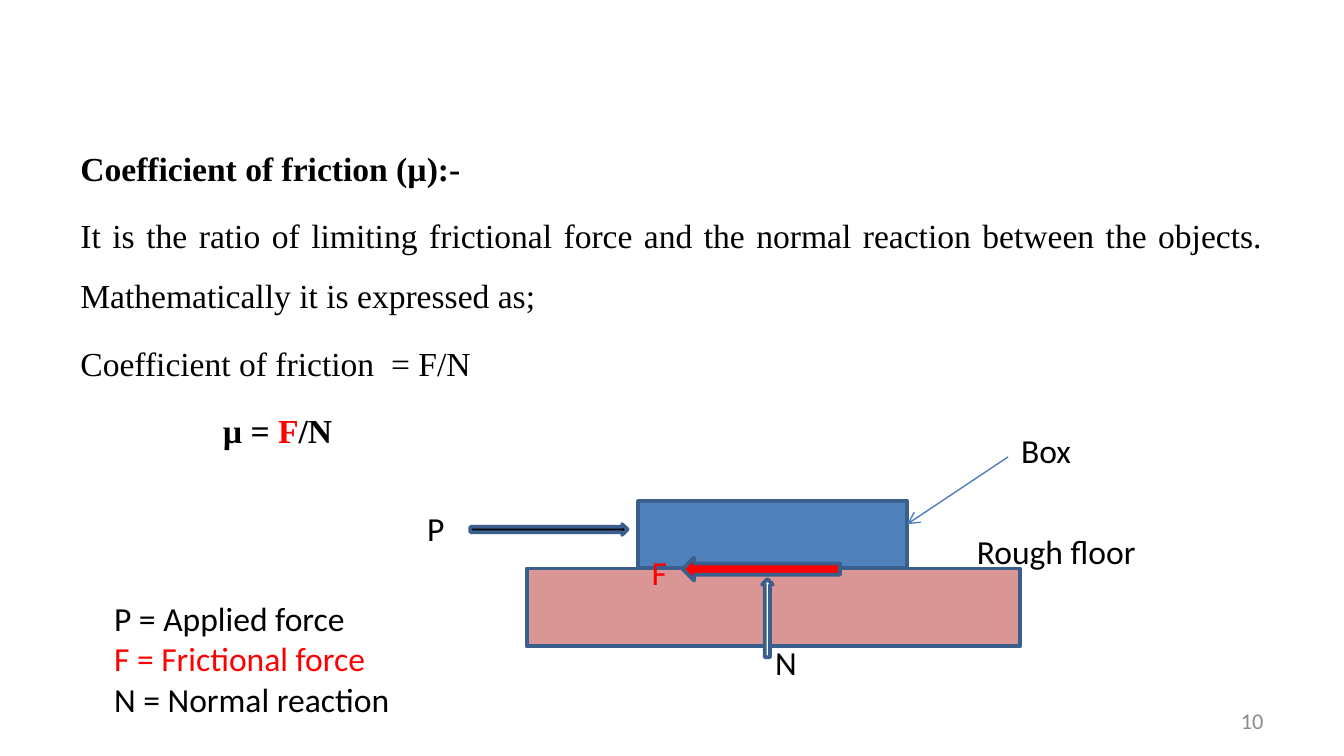
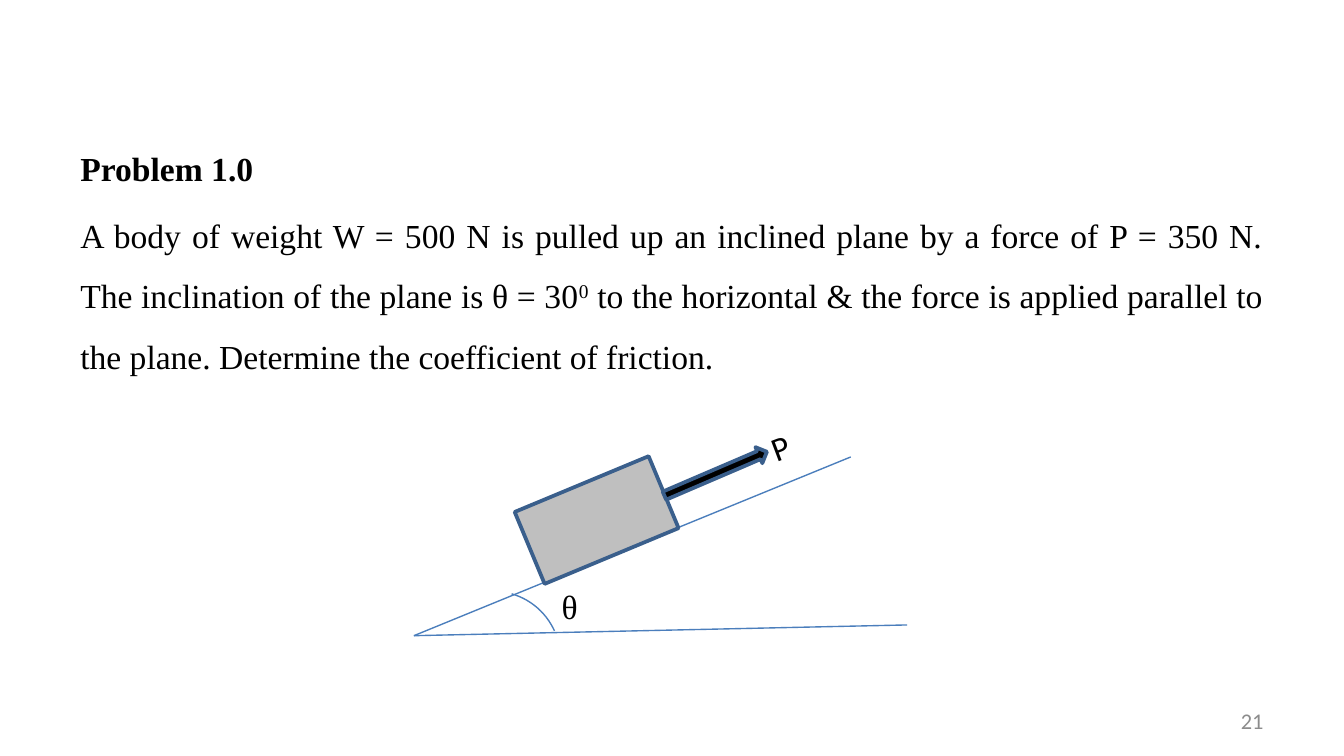
from dataclasses import dataclass
from typing import Any

from lxml import etree
from pptx import Presentation
from pptx.dml.color import RGBColor
from pptx.enum.shapes import MSO_CONNECTOR, MSO_SHAPE
from pptx.enum.text import MSO_ANCHOR, MSO_AUTO_SIZE, PP_ALIGN
from pptx.oxml.ns import qn
from pptx.util import Inches, Pt

STRAIGHT = MSO_CONNECTOR.STRAIGHT
RECTANGLE, ARC = MSO_SHAPE.RECTANGLE, MSO_SHAPE.ARC
RIGHT_ARROW, LEFT_ARROW, UP_ARROW = MSO_SHAPE.RIGHT_ARROW, MSO_SHAPE.LEFT_ARROW, MSO_SHAPE.UP_ARROW
LEFT, RIGHT, JUSTIFY = PP_ALIGN.LEFT, PP_ALIGN.RIGHT, PP_ALIGN.JUSTIFY
TOP, MIDDLE = MSO_ANCHOR.TOP, MSO_ANCHOR.MIDDLE
FIT_SHAPE, NO_FIT = MSO_AUTO_SIZE.SHAPE_TO_FIT_TEXT, MSO_AUTO_SIZE.NONE
SLIDE_WIDTH = Inches(10)
SLIDE_HEIGHT = SLIDE_WIDTH * 9 // 16


@dataclass(frozen=True)
class Theme:
    black: str = "000000"
    white: str = "FFFFFF"
    red: str = "FF0000"
    grey_text: str = "8C8C8C"
    box_blue: str = "4F81BD"
    floor_pink: str = "D99694"
    body_grey: str = "BFBFBF"
    outline: str = "3A5F8C"
    thin_line: str = "4B7EBC"
    serif: str = "Times New Roman"
    sans: str = "Calibri"
    text_size: int = 18
    number_size: int = 12
    outline_width: float = 2
    thin_width: float = 0.75


THEME = Theme()
BODY_FORMAT = {"alignment": JUSTIFY, "line_spacing": 1.5, "space_before": Pt(THEME.text_size * 0.2)}
Bounds = tuple[float, float, float, float]


@dataclass(frozen=True)
class Run:
    text: str
    color: str = THEME.black
    bold: bool = False
    superscript: bool = False


@dataclass(frozen=True)
class Line:
    runs: tuple[Run, ...]
    indent: float = 0


@dataclass(frozen=True)
class TextBlock:
    bounds: Bounds
    lines: tuple[Line, ...]
    font: str = THEME.sans
    size: int = THEME.text_size
    rotation: float = 0
    anchor: Any = TOP
    auto_size: Any = FIT_SHAPE
    format: Any = None


@dataclass(frozen=True)
class Figure:
    kind: Any
    bounds: Bounds
    fill: str
    rotation: float = 0


@dataclass(frozen=True)
class AngleArc:
    bounds: Bounds
    start: float
    end: float


@dataclass(frozen=True)
class Stroke:
    start: tuple[float, float]
    end: tuple[float, float]
    arrow: bool = False


def set_attributes(target: Any, values: dict[str, Any]) -> None:
    for name, value in values.items():
        setattr(target, name, value)


def inches(values: tuple[float, ...]) -> list[int]:
    return [Inches(value) for value in values]


def set_line(line: Any, color: str, width: float) -> None:
    line.color.rgb = RGBColor.from_string(color)
    line.width = Pt(width)


def label(text: str, bounds: Bounds, color: str = THEME.black, **options: Any) -> TextBlock:
    return TextBlock(bounds, (Line((Run(text, color),)),), **options)


def body(*lines: Line) -> TextBlock:
    return TextBlock((0.5, 0.9, 9, 4.13), lines, font=THEME.serif, auto_size=NO_FIT, format=BODY_FORMAT)


def page_number(number: int) -> TextBlock:
    return label(str(number), (7.17, 5.21, 2.33, 0.3), THEME.grey_text, size=THEME.number_size,
                 anchor=MIDDLE, auto_size=NO_FIT, format={"alignment": RIGHT})


def draw_text(slide: Any, block: TextBlock) -> None:
    shape = slide.shapes.add_textbox(*inches(block.bounds))
    shape.rotation = block.rotation
    frame = shape.text_frame
    set_attributes(frame, {"word_wrap": True, "auto_size": block.auto_size, "vertical_anchor": block.anchor})
    for index, line in enumerate(block.lines):
        paragraph = frame.add_paragraph() if index else frame.paragraphs[0]
        set_attributes(paragraph, block.format or {"alignment": LEFT})
        if line.indent:
            paragraph._p.get_or_add_pPr().set("marL", str(Inches(line.indent)))
        for item in line.runs:
            run = paragraph.add_run()
            run.text = item.text
            set_attributes(run.font, {"name": block.font, "size": Pt(block.size), "bold": item.bold})
            run.font.color.rgb = RGBColor.from_string(item.color)
            if item.superscript:
                run._r.get_or_add_rPr().set("baseline", "30000")


def draw_figure(slide: Any, figure: Figure) -> None:
    shape = slide.shapes.add_shape(figure.kind, *inches(figure.bounds))
    shape.shadow.inherit = False
    shape.rotation = figure.rotation
    shape.fill.solid()
    shape.fill.fore_color.rgb = RGBColor.from_string(figure.fill)
    set_line(shape.line, THEME.outline, THEME.outline_width)


def draw_arc(slide: Any, arc: AngleArc) -> None:
    shape = slide.shapes.add_shape(ARC, *inches(arc.bounds))
    shape.shadow.inherit = False
    shape.fill.background()
    for index, degrees in enumerate((arc.start, arc.end)):
        shape.adjustments[index] = degrees * 0.6
    set_line(shape.line, THEME.thin_line, THEME.thin_width)


def draw_stroke(slide: Any, stroke: Stroke) -> None:
    connector = slide.shapes.add_connector(STRAIGHT, *inches(stroke.start + stroke.end))
    set_line(connector.line, THEME.thin_line, THEME.thin_width)
    properties = connector._element.spPr
    if stroke.arrow:
        etree.SubElement(properties.find(qn("a:ln")), qn("a:tailEnd")).set("type", "arrow")
    etree.SubElement(properties, qn("a:effectLst"))


DRAWERS = {TextBlock: draw_text, Figure: draw_figure, AngleArc: draw_arc, Stroke: draw_stroke}

COEFFICIENT_SLIDE = (
    body(
        Line((Run("Coefficient of friction (µ):-", bold=True),)),
        Line((Run("It is the ratio of limiting frictional force and the normal reaction between the objects. "
                  "Mathematically it is expressed as;"),)),
        Line((Run("Coefficient of friction  = F/N"),)),
        Line((Run("µ = ", bold=True), Run("F", THEME.red, True), Run("/N", bold=True)), indent=1.06),
    ),
    Figure(RECTANGLE, (4.75, 3.73, 2, 0.5), THEME.box_blue),
    Stroke((7.5, 3.4), (6.75, 3.9), arrow=True),
    label("Box", (7.5, 3.15, 1, 0.4)),
    label("Rough floor", (7.17, 3.9, 2.5, 0.4)),
    label("P", (3.08, 3.73, 0.42, 0.4)),
    Figure(RIGHT_ARROW, (3.5, 3.9, 1.17, 0.08), THEME.black),
    Figure(RECTANGLE, (3.92, 4.23, 3.67, 0.58), THEME.floor_pink),
    Figure(LEFT_ARROW, (5.08, 4.15, 1.17, 0.17), THEME.red),
    label("F", (4.75, 4.06, 0.42, 0.4), THEME.red),
    Figure(UP_ARROW, (5.67, 4.31, 0.08, 0.58), THEME.white),
    label("N", (5.67, 4.73, 1, 0.4)),
    TextBlock((0.75, 4.4, 2.58, 1.01), (
        Line((Run("P = Applied force"),)),
        Line((Run("F = Frictional force", THEME.red),)),
        Line((Run("N = Normal reaction"),)),
    )),
    page_number(10),
)

INCLINE_APEX = (3.08, 4.73)
PROBLEM_SLIDE = (
    body(
        Line((Run("Problem 1.0", bold=True),)),
        Line((
            Run("A body of weight W = 500 N is pulled up an inclined plane by a force of P = 350 N. "
                "The inclination of the plane is θ = 30"),
            Run("0", superscript=True),
            Run(" to the horizontal & the force is applied parallel to the plane. "
                "Determine the coefficient of friction."),
        )),
    ),
    Stroke(INCLINE_APEX, (6.33, 3.4)),
    Stroke(INCLINE_APEX, (6.75, 4.65)),
    Figure(RECTANGLE, (3.9, 3.58, 1.08, 0.58), THEME.body_grey, rotation=337.4),
    Figure(RIGHT_ARROW, (4.91, 3.46, 0.83, 0.13), THEME.black, rotation=336.8),
    label("P", (5.64, 3.12, 0.37, 0.4), rotation=339.3),
    AngleArc((3.17, 4.4, 1, 1), start=285.95, end=335.74),
    label("θ", (4.08, 4.31, 0.5, 0.4), font=THEME.serif),
    page_number(21),
)


def main() -> None:
    presentation = Presentation()
    set_attributes(presentation, {"slide_width": SLIDE_WIDTH, "slide_height": SLIDE_HEIGHT})
    blank_layout = presentation.slide_layouts[6]
    for elements in (COEFFICIENT_SLIDE, PROBLEM_SLIDE):
        slide = presentation.slides.add_slide(blank_layout)
        for element in elements:
            DRAWERS[type(element)](slide, element)
    presentation.save("out.pptx")


if __name__ == "__main__":
    main()
